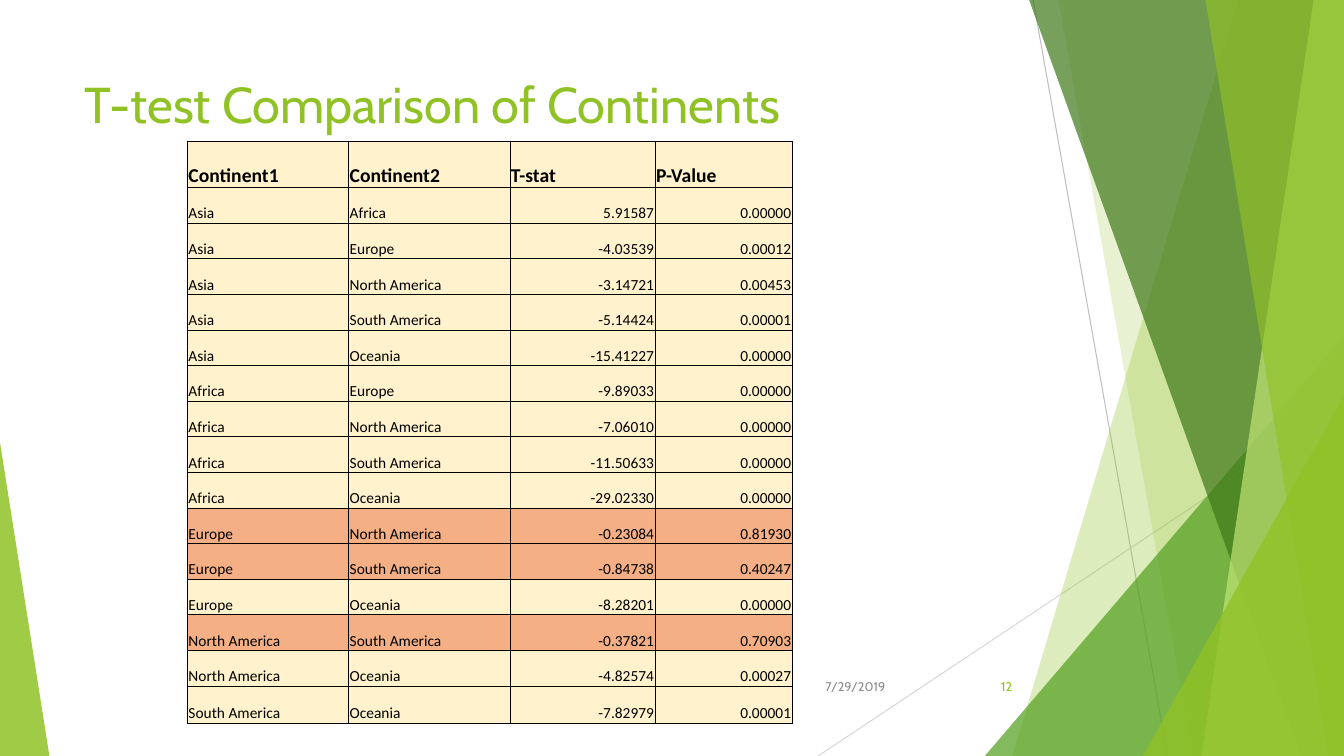
"""Build the slide that compares continents by t-test."""
import dataclasses
import typing

import lxml.etree
import pptx
import pptx.dml.color
import pptx.enum.shapes
import pptx.enum.text
import pptx.oxml.ns
import pptx.util

COLS, ROWS = 40, 22.5
UNIT = 1 / 3
HUES = {
    "lime": "90C226", "green": "54A021", "forest": "3F7819", "pale": "C0E474",
    "steel": "BFBFBF", "mist": "D9D9D9", "gray": "8C8C8C", "black": "000000",
    "cream": "FFF2CC", "peach": "F4B084",
}
ALIGN = pptx.enum.text.PP_ALIGN
ANCHOR = pptx.enum.text.MSO_ANCHOR
SHAPE = pptx.enum.shapes.MSO_SHAPE


@dataclasses.dataclass
class Ray:
    start: tuple[float, float]
    end: tuple[float, float]
    hue: str


@dataclasses.dataclass
class Band:
    top: float
    base: float
    hue: str
    alpha: int


@dataclasses.dataclass
class Wedge:
    left: float
    top: float
    width: float
    tilt: float
    hue: str
    alpha: int


@dataclasses.dataclass
class Label:
    text: str
    left: float
    width: float
    hue: str


RAYS = [
    Ray((30.75, 0), (34.75, ROWS), "steel"),
    Ray((COLS, 12.08), (24.35, ROWS), "mist"),
]
FACETS = [
    Band(36.85, 30.13, "lime", 30),
    Band(31.5, 35.5, "lime", 20),
    Wedge(29.31, 10, 10.69, 1, "green", 72),
    Band(30.63, 38.73, "forest", 70),
    Band(39.1, 35.76, "pale", 70),
    Band(35.88, 39.54, "lime", 65),
    Wedge(34.02, 11.79, 5.98, 1, "lime", 80),
    Wedge(0, 13.17, 1.47, 0, "lime", 85),
]
LABELS = [
    Label("7/29/2019", 23.64, 3, "gray"),
    Label("12", 28.17, 2.25, "lime"),
]
WIDTHS = [4.8, 4.8, 4.32, 4.08]
HEAD, BODY, LAST = 1.38, 1.06, 1.11
TESTS = [
    ("Continent1", "Continent2", "T-stat", "P-Value"),
    ("Asia", "Africa", "5.91587", "0.00000"),
    ("Asia", "Europe", "-4.03539", "0.00012"),
    ("Asia", "North America", "-3.14721", "0.00453"),
    ("Asia", "South America", "-5.14424", "0.00001"),
    ("Asia", "Oceania", "-15.41227", "0.00000"),
    ("Africa", "Europe", "-9.89033", "0.00000"),
    ("Africa", "North America", "-7.06010", "0.00000"),
    ("Africa", "South America", "-11.50633", "0.00000"),
    ("Africa", "Oceania", "-29.02330", "0.00000"),
    ("Europe", "North America", "-0.23084", "0.81930"),
    ("Europe", "South America", "-0.84738", "0.40247"),
    ("Europe", "Oceania", "-8.28201", "0.00000"),
    ("North America", "South America", "-0.37821", "0.70903"),
    ("North America", "Oceania", "-4.82574", "0.00027"),
    ("South America", "Oceania", "-7.82979", "0.00001"),
]


def grid(*spans: float) -> list[int]:
    return [pptx.util.Inches(span * UNIT) for span in spans]


def tint(hue: str) -> pptx.dml.color.RGBColor:
    return pptx.dml.color.RGBColor.from_string(HUES[hue])


def apply(item: typing.Any, form: dict[str, typing.Any]) -> None:
    for name, value in form.items():
        setattr(item, name, value)


def child(node: typing.Any, tag: str, **attrs: str) -> typing.Any:
    return lxml.etree.SubElement(node, pptx.oxml.ns.qn(tag), attrs)


def write(frame: typing.Any, text: str, size: float, hue: str,
          face: str = "Cabin", bold: bool = False,
          align: typing.Any = ALIGN.LEFT) -> None:
    line = frame.paragraphs[0]
    line.alignment = align
    run = line.add_run()
    run.text = text
    apply(run.font, {"name": face, "size": pptx.util.Pt(size), "bold": bold})
    run.font.color.rgb = tint(hue)


def draw_ray(slide: typing.Any, ray: Ray) -> None:
    kind = pptx.enum.shapes.MSO_CONNECTOR.STRAIGHT
    line = slide.shapes.add_connector(kind, *grid(*ray.start, *ray.end))
    line.line.color.rgb = tint(ray.hue)
    line.line.width = pptx.util.Pt(0.75)
    child(line._element.spPr, "a:effectLst")


def draw_facet(slide: typing.Any, facet: Band | Wedge) -> None:
    if isinstance(facet, Band):
        pen = slide.shapes.build_freeform(*grid(facet.top, 0), scale=1.0)
        ends = [(COLS, 0), (COLS, ROWS), (facet.base, ROWS)]
        pen.add_line_segments([grid(*end) for end in ends], close=True)
        shape = pen.convert_to_shape()
    else:
        box = grid(facet.left, facet.top, facet.width, ROWS - facet.top)
        shape = slide.shapes.add_shape(SHAPE.ISOSCELES_TRIANGLE, *box)
        shape.adjustments[0] = facet.tilt
    shape.shadow.inherit = False
    shape.line.fill.background()
    shape.fill.solid()
    shape.fill.fore_color.rgb = tint(facet.hue)
    shade = shape._element.spPr.find(".//" + pptx.oxml.ns.qn("a:srgbClr"))
    child(shade, "a:alpha", val=str(facet.alpha * 1000))


def draw_label(slide: typing.Any, label: Label) -> None:
    box = slide.shapes.add_textbox(*grid(label.left, 19.83, label.width, 1.2))
    apply(box.text_frame, {"word_wrap": True, "vertical_anchor": ANCHOR.MIDDLE})
    write(box.text_frame, label.text, 9, label.hue, align=ALIGN.RIGHT)


def edge(cell: typing.Any, sides: dict[str, bool]) -> None:
    props = cell._tc.get_or_add_tcPr()
    for spot, (side, thick) in enumerate(sides.items()):
        width = pptx.util.Pt(1 if thick else 0.5)
        line = child(props, f"a:ln{side}", w=str(width))
        child(child(line, "a:solidFill"), "a:srgbClr", val=HUES["black"])
        props.insert(spot, line)


def draw_table(slide: typing.Any) -> None:
    count, wide = len(TESTS), len(WIDTHS)
    highs = [HEAD] + [BODY] * (count - 2) + [LAST]
    box = grid(5.58, 4.2, sum(WIDTHS), sum(highs))
    table = slide.shapes.add_table(count, wide, *box).table
    apply(table, {"first_row": False, "horz_banding": False})
    for col, width in zip(table.columns, grid(*WIDTHS)):
        col.width = width
    for row, high in zip(table.rows, grid(*highs)):
        row.height = high
    pad = pptx.util.Inches(0.01)
    form = {"margin_left": pad, "margin_right": pad, "margin_top": pad,
            "margin_bottom": 0, "vertical_anchor": ANCHOR.BOTTOM}
    for r, test in enumerate(TESTS):
        head = r == 0
        weak = not head and float(test[-1]) > 0.05
        for c, text in enumerate(test):
            cell = table.cell(r, c)
            apply(cell, form)
            cell.fill.solid()
            cell.fill.fore_color.rgb = tint("peach" if weak else "cream")
            edge(cell, {"L": c == 0, "R": c == wide - 1,
                        "T": r < 2, "B": r in (0, count - 1)})
            write(cell.text_frame, text, 14 if head else 11, "black", "Calibri",
                  head, ALIGN.RIGHT if c > 1 and not head else ALIGN.LEFT)


def main() -> None:
    deck = pptx.Presentation()
    deck.slide_width, deck.slide_height = grid(COLS, ROWS)
    slide = deck.slides.add_slide(deck.slide_layouts[5])
    for ray in RAYS:
        draw_ray(slide, ray)
    for facet in FACETS:
        draw_facet(slide, facet)
    title = slide.shapes.title
    apply(title, dict(zip(("left", "top", "width", "height"),
                          grid(2.22, 2.04, 28.2, 4.32))))
    apply(title.text_frame, {"vertical_anchor": ANCHOR.TOP, "word_wrap": True,
                             "auto_size": pptx.enum.text.MSO_AUTO_SIZE.NONE})
    write(title.text_frame, "T-test Comparison of Continents", 36, "lime")
    draw_table(slide)
    for label in LABELS:
        draw_label(slide, label)
    deck.save("out.pptx")


if __name__ == "__main__":
    main()
